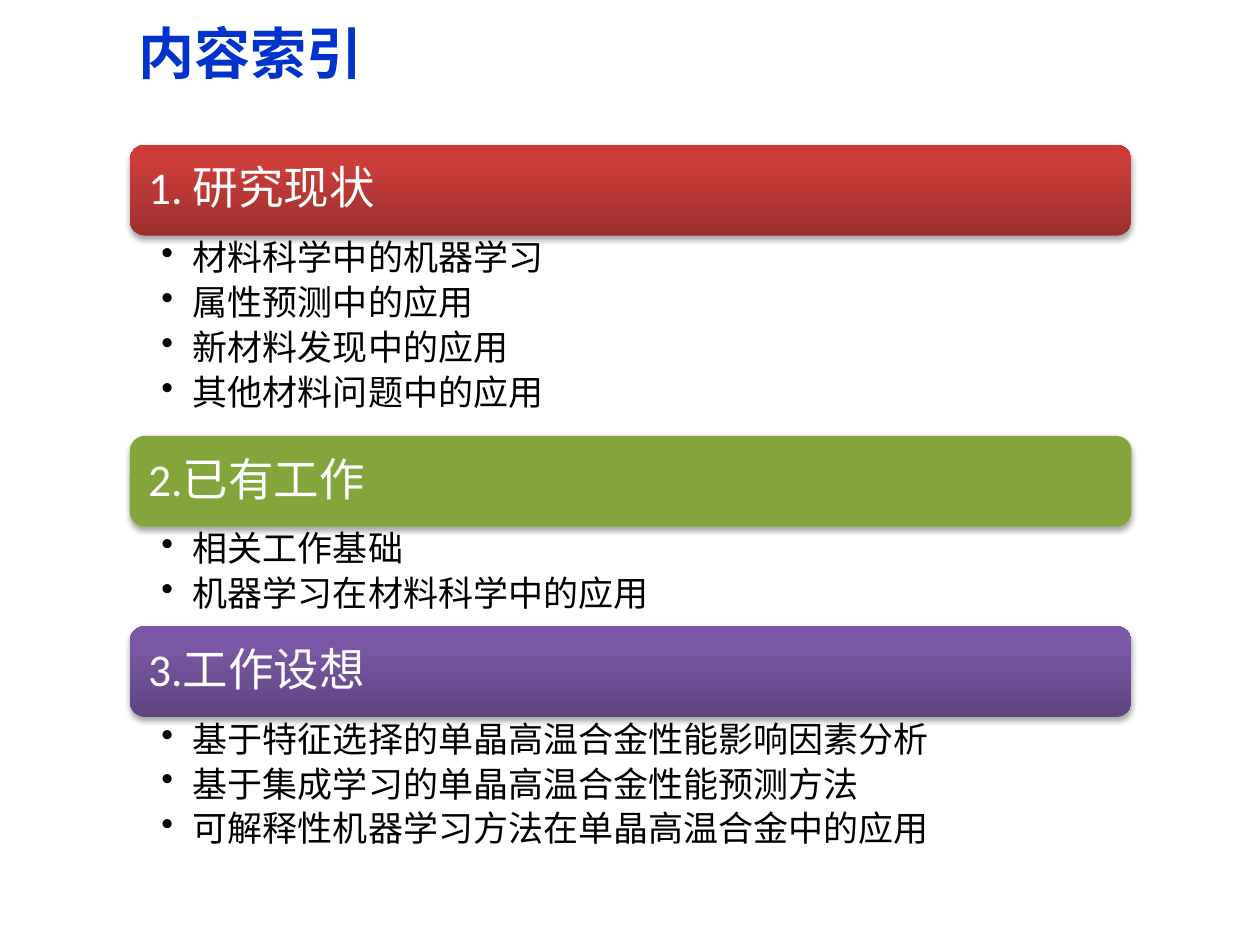
from lxml.etree import SubElement
from pptx import Presentation
from pptx.dml.color import RGBColor
from pptx.enum.shapes import MSO_SHAPE
from pptx.enum.text import MSO_ANCHOR, PP_ALIGN
from pptx.oxml.ns import qn
from pptx.util import Inches, Pt

BANNER_HEIGHT = 0.72
SECTIONS = [
    ("1. 研究现状", ["9C2F2D", "CB3E3A", "CE3B37"], 1.59,
     ["材料科学中的机器学习", "属性预测中的应用", "新材料发现中的应用", "其他材料问题中的应用"]),
    ("2.已有工作", ["83A53C"], 0.79,
     ["相关工作基础", "机器学习在材料科学中的应用"]),
    ("3.工作设想", ["5F4480", "7B58A6", "7C57A8"], 1.21,
     ["基于特征选择的单晶高温合金性能影响因素分析",
      "基于集成学习的单晶高温合金性能预测方法",
      "可解释性机器学习方法在单晶高温合金中的应用"]),
]


def color(value):
    return RGBColor.from_string(value)


def add_span(para, text, size, value, font="Calibri"):
    span = para.add_run()
    span.text = text
    span.font.size = Pt(size)
    span.font.color.rgb = color(value)
    span.font.name = font
    return span


def set_insets(frame, left, top, right, bottom):
    frame.margin_left, frame.margin_top = Inches(left), Inches(top)
    frame.margin_right, frame.margin_bottom = Inches(right), Inches(bottom)


def fill_banner(banner, colors):
    if len(colors) == 1:
        banner.fill.solid()
        banner.fill.fore_color.rgb = color(colors[0])
        return
    banner.fill.gradient()
    banner.fill.gradient_angle = 90
    stops = banner._element.spPr.find(qn("a:gradFill")).find(qn("a:gsLst"))
    stops.clear()
    for percent, value in zip((0, 80, 100), colors):
        stop = SubElement(stops, qn("a:gs"), pos=str(percent * 1000))
        SubElement(stop, qn("a:srgbClr"), val=value)


def add_shadow(shape):
    shape.shadow.inherit = False
    effects = shape._element.spPr.find(qn("a:effectLst"))
    shadow = SubElement(effects, qn("a:outerShdw"), blurRad=str(Pt(3.1)),
                        dist=str(Pt(1.8)), dir="5400000", rotWithShape="0")
    shade = SubElement(shadow, qn("a:srgbClr"), val="000000")
    SubElement(shade, qn("a:alpha"), val="35000")


def add_title(page, left, top, width, height):
    title = page.shapes.title
    title.left, title.top = Inches(left), Inches(top)
    title.width, title.height = Inches(width), Inches(height)
    title.text_frame.vertical_anchor = MSO_ANCHOR.MIDDLE
    para = title.text_frame.paragraphs[0]
    para.alignment = PP_ALIGN.LEFT
    font = "Noto Sans CJK SC"
    span = add_span(para, "内容索引", 32, "0033CC", font)
    span.font.bold = True
    SubElement(span.font._element, qn("a:ea"), typeface=font)


def add_banner(page, heading, colors, left, top, width, height):
    banner = page.shapes.add_shape(
        MSO_SHAPE.ROUNDED_RECTANGLE, Inches(left), Inches(top), Inches(width), Inches(height))
    fill_banner(banner, colors)
    banner.line.fill.background()
    add_shadow(banner)
    frame = banner.text_frame
    frame.word_wrap = True
    frame.vertical_anchor = MSO_ANCHOR.MIDDLE
    set_insets(frame, 0.11, 0.11, 0.11, 0.11)
    para = frame.paragraphs[0]
    para.alignment = PP_ALIGN.LEFT
    para.line_spacing = 0.9
    add_span(para, heading, 26, "FFFFFF")


def add_topics(page, topics, left, top, width, height):
    box = page.shapes.add_textbox(Inches(left), Inches(top), Inches(width), Inches(height))
    frame = box.text_frame
    frame.word_wrap = True
    set_insets(frame, 0.25, 0.04, 0.2, 0.04)
    for index, topic in enumerate(topics):
        para = frame.add_paragraph() if index else frame.paragraphs[0]
        para.level = 1
        para.line_spacing = 0.9
        properties = para._p.get_or_add_pPr()
        properties.set("marL", str(Inches(0.25)))
        properties.set("indent", str(Inches(-0.25)))
        after = SubElement(properties, qn("a:spcAft"))
        SubElement(after, qn("a:spcPct"), val="20000")
        SubElement(properties, qn("a:buChar"), char="•")
        add_span(para, topic, 20, "000000")


def add_sections(page, left, top, width):
    for heading, colors, list_height, topics in SECTIONS:
        add_banner(page, heading, colors, left, top, width, BANNER_HEIGHT)
        top += BANNER_HEIGHT
        add_topics(page, topics, left, top, width, list_height)
        top += list_height


def main():
    deck = Presentation()
    deck.slide_width, deck.slide_height = Inches(10), Inches(7.5)
    page = deck.slides.add_slide(deck.slide_layouts[5])
    add_title(page, 1, -0.02, 9, 0.87)
    add_sections(page, 1.03, 1.15, 7.95)
    deck.save("out.pptx")


if __name__ == "__main__":
    main()
